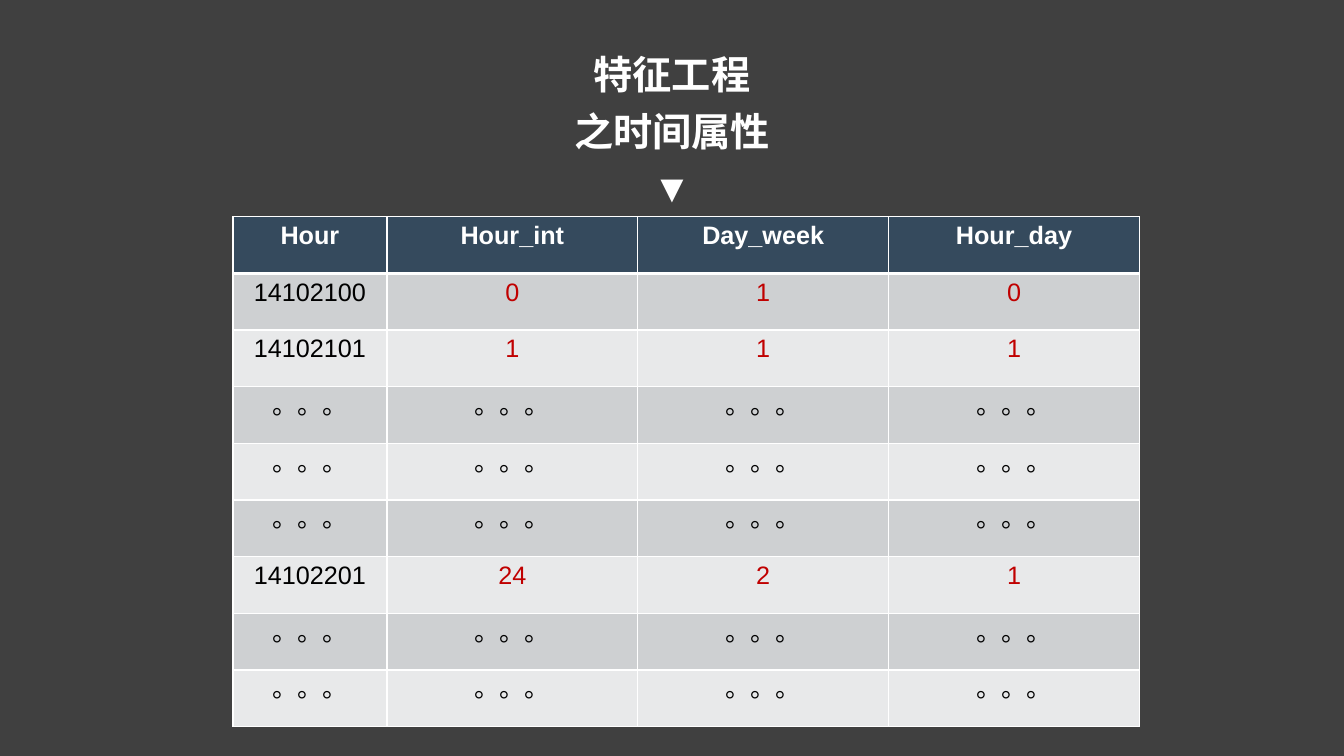
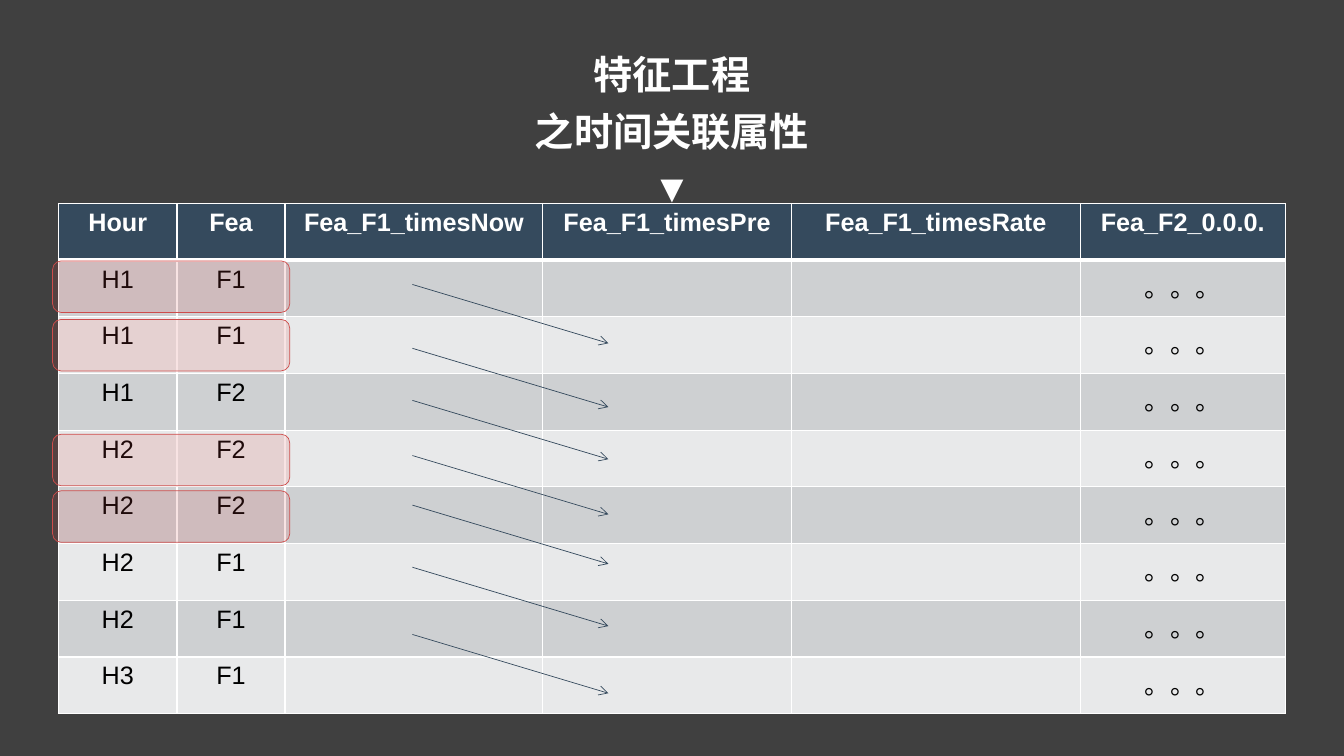
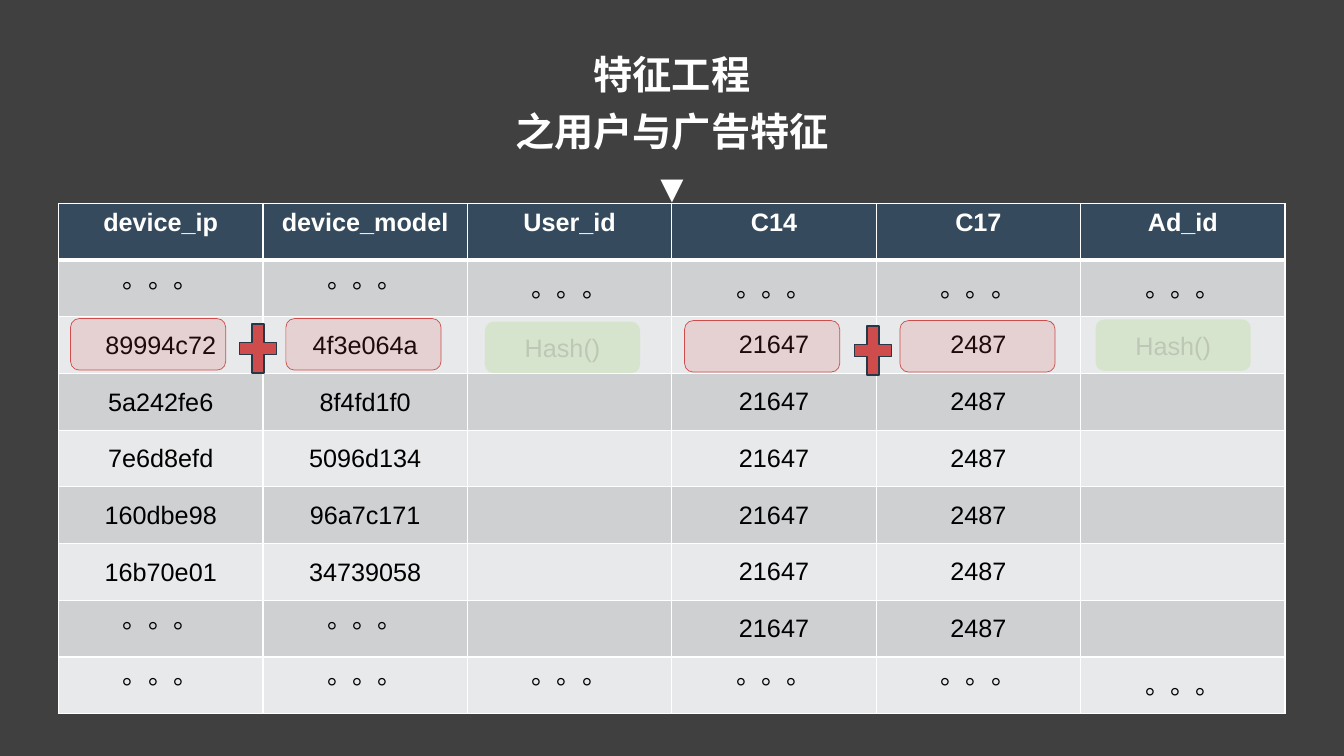
from dataclasses import dataclass

from lxml import etree
from pptx import Presentation
from pptx.dml.color import RGBColor
from pptx.enum import lang, shapes, text
from pptx.oxml import ns
from pptx.util import Pt


@dataclass(frozen=True)
class Theme:
    page: str = "404040"
    white: str = "FFFFFF"
    black: str = "000000"
    header: str = "354A5D"
    bands: tuple = ("CED0D2", "E8E9EA")
    value: str = "C00000"
    mark: str = "D54948"
    accent: str = "CE4C4B"
    plus_edge: str = "273745"
    hash_fill: str = "92D050"
    hash_text: str = "BEC7B5"
    font: str = "Arial"
    title_size: float = 28
    body_size: float = 18


@dataclass(frozen=True)
class Box:
    left: float
    top: float
    width: float
    height: float

    def inner(self, left, top, width, height):
        return Box(self.left + left, self.top + top, width, height)

    def points(self):
        return Pt(self.left), Pt(self.top), Pt(self.width), Pt(self.height)


THEME = Theme()
DOTS = "。。。"
ROW_HEIGHT = 40.5
PAGE = Box(0, 0, 960, 540)
WIDE_TABLE = Box(41.8, 145.4, 876.2, 9 * ROW_HEIGHT)


def color(value):
    return RGBColor.from_string(value)


def add_span(para, words, size, tint, bold=False):
    para.alignment = text.PP_ALIGN.CENTER
    span = para.add_run()
    span.text = words
    font = span.font
    font.name, font.size, font.bold = THEME.font, Pt(size), bold
    font.color.rgb = color(tint)
    font.language_id = lang.MSO_LANGUAGE_ID.SIMPLIFIED_CHINESE
    latin = span.font._element.find(ns.qn("a:latin"))
    east_asian = etree.Element(ns.qn("a:ea"), typeface=THEME.font)
    latin.addnext(east_asian)


# Page background and title with its pointer
def add_page(deck, subtitle):
    page = deck.slides.add_slide(deck.slide_layouts[6])
    page.background.fill.solid()
    page.background.fill.fore_color.rgb = color(THEME.page)
    width = THEME.title_size * len(subtitle) + 16
    box = PAGE.inner((PAGE.width - width) / 2, 26, width, 129.6)
    frame = page.shapes.add_textbox(*box.points()).text_frame
    frame.word_wrap = False
    frame.auto_size = text.MSO_AUTO_SIZE.SHAPE_TO_FIT_TEXT
    for index, words in enumerate(("特征工程", subtitle, "▼")):
        para = frame.add_paragraph() if index else frame.paragraphs[0]
        para.line_spacing = 1.2
        add_span(para, words, THEME.title_size, THEME.white, words != "▼")
    return page


# Table with a dark header and banded rows
def add_borders(cell, row):
    widths = {"L": 1, "R": 1, "T": 3 if row == 1 else 1, "B": 3 if row == 0 else 1}
    for index, (side, width) in enumerate(widths.items()):
        line = etree.Element(ns.qn(f"a:ln{side}"), w=str(Pt(width)))
        fill = etree.SubElement(line, ns.qn("a:solidFill"))
        etree.SubElement(fill, ns.qn("a:srgbClr"), val=THEME.white)
        cell._tc.get_or_add_tcPr().insert(index, line)


def add_grid(page, box, widths, rows, middle, tint=None, tight=None):
    """middle, tint and tight choose the style of a body cell by row, column and words."""
    frame = page.shapes.add_table(len(rows), len(widths), *box.points())
    table = frame.table
    for column, width in zip(table.columns, widths):
        column.width = Pt(width)
    for row, values in enumerate(rows):
        table.rows[row].height = Pt(ROW_HEIGHT)
        for column, words in enumerate(values):
            cell = table.cell(row, column)
            place = (row, column, words)
            cell.fill.solid()
            fill = THEME.bands[(row - 1) % 2] if row else THEME.header
            cell.fill.fore_color.rgb = color(fill)
            add_borders(cell, row)
            if row and middle(*place):
                cell.vertical_anchor = text.MSO_ANCHOR.MIDDLE
            if row and tight and tight(*place):
                cell.margin_left = cell.margin_right = cell.margin_top = Pt(0.72)
                cell.margin_bottom = Pt(0)
            if words:
                body_tint = tint(*place) if tint else THEME.black
                add_span(cell.text_frame.paragraphs[0], words, THEME.body_size,
                         body_tint if row else THEME.white, row == 0)


# Marks laid over a table
def add_mark(page, box, kind, fill, opacity=100, edge=None, edge_width=0.5):
    mark = page.shapes.add_shape(kind, *box.points())
    mark.shadow.inherit = False
    mark.fill.solid()
    mark.fill.fore_color.rgb = color(fill)
    if opacity < 100:
        tone = mark.element.spPr.find(".//" + ns.qn("a:srgbClr"))
        etree.SubElement(tone, ns.qn("a:alpha"), val=str(opacity * 1000))
    if edge:
        mark.line.color.rgb = color(edge)
        mark.line.width = Pt(edge_width)
    else:
        mark.line.fill.background()
    return mark


def add_highlight(page, box):
    add_mark(page, box, shapes.MSO_SHAPE.ROUNDED_RECTANGLE, THEME.mark, 15, THEME.accent)


def add_plus(page, box):
    add_mark(page, box, shapes.MSO_SHAPE.MATH_PLUS, THEME.accent, edge=THEME.plus_edge,
             edge_width=1)


def add_hash(page, box):
    mark = add_mark(page, box, shapes.MSO_SHAPE.ROUNDED_RECTANGLE, THEME.hash_fill, 19)
    frame = mark.text_frame
    frame.vertical_anchor = text.MSO_ANCHOR.MIDDLE
    add_span(frame.paragraphs[0], "Hash()", THEME.body_size, THEME.hash_text)


def add_arrow(page, box):
    left, top, width, height = box.points()
    arrow = page.shapes.add_connector(shapes.MSO_CONNECTOR.STRAIGHT, left, top,
                                      left + width, top + height)
    arrow.line.color.rgb = color(THEME.header)
    arrow.line.width = Pt(0.5)
    etree.SubElement(arrow.line._get_or_add_ln(), ns.qn("a:tailEnd"), type="arrow")
    etree.SubElement(arrow.element.spPr, ns.qn("a:effectLst"))


# Time attributes
def build_time(deck):
    page = add_page(deck, "之时间属性")
    gap = [DOTS] * 4
    rows = [["Hour", "Hour_int", "Day_week", "Hour_day"],
            ["14102100", "0", "1", "0"],
            ["14102101", "1", "1", "1"],
            gap, gap, gap,
            ["14102201", "24", "2", "1"],
            gap, gap]
    add_grid(page, Box(166.4, 154.8, 647.6, 9 * ROW_HEIGHT), [110] + [179.2] * 3, rows,
             middle=lambda row, column, words: False,
             tint=lambda row, column, words:
             THEME.value if column and words != DOTS else THEME.black)


# Attributes linked over time
def build_links(deck, box):
    page = add_page(deck, "之时间关联属性")
    rows = [["Hour", "Fea", "Fea_F1_timesNow", "Fea_F1_timesPre", "Fea_F1_timesRate",
             "Fea_F2_0.0.0."]]
    pairs = "H1 F1, H1 F1, H1 F2, H2 F2, H2 F2, H2 F1, H2 F1, H3 F1"
    rows += [[*pair.split(), "", "", "", DOTS] for pair in pairs.split(", ")]
    add_grid(page, box, [84.6, 77.2, 184.2, 177.4, 206.6, 146.2], rows,
             middle=lambda row, column, words: column == 5)
    for top in (41, 82.8, 164.8, 205.2):
        add_highlight(page, box.inner(-4.2, top, 169.4, 36.8))
    for top in (57.8, 103.4, 140.6, 180, 215.4, 259.8, 307.8):
        add_arrow(page, box.inner(252.8, top, 140, 42))


# User and advertisement attributes
def build_users(deck, box):
    page = add_page(deck, "之用户与广告特征")
    devices = [("89994c72", "4f3e064a"), ("5a242fe6", "8f4fd1f0"), ("7e6d8efd", "5096d134"),
               ("160dbe98", "96a7c171"), ("16b70e01", "34739058"), (DOTS, DOTS)]
    rows = [["device_ip", "device_model", "User_id", "C14", "C17", "Ad_id"], [DOTS] * 6]
    rows += [[*device, "", "21647", "2487", ""] for device in devices]
    rows.append([DOTS] * 6)
    add_grid(page, box, [box.width / 6] * 6, rows,
             middle=lambda row, column, words:
             words != DOTS or column == 5 or (row == 1 and column > 1),
             tight=lambda row, column, words: column < 2 and words != DOTS)
    # Each pair of highlighted values is joined by a plus and hashed
    for left, top, plus, hash_left, hash_top in ((8.6, 82.2, 124.6, 304.6, 84.4),
                                                 (447.2, 83.6, 563.8, 740.8, 82.8)):
        for shift in (0, 153.8):
            add_highlight(page, box.inner(left + shift, top, 110.8, 36.8))
        add_plus(page, box.inner(plus, top - 2.4, 36, 47.6))
        add_hash(page, box.inner(hash_left, hash_top, 110.8, 36.8))


deck = Presentation()
deck.slide_width, deck.slide_height = Pt(PAGE.width), Pt(PAGE.height)
build_time(deck)
build_links(deck, WIDE_TABLE)
build_users(deck, WIDE_TABLE)
deck.save("out.pptx")
